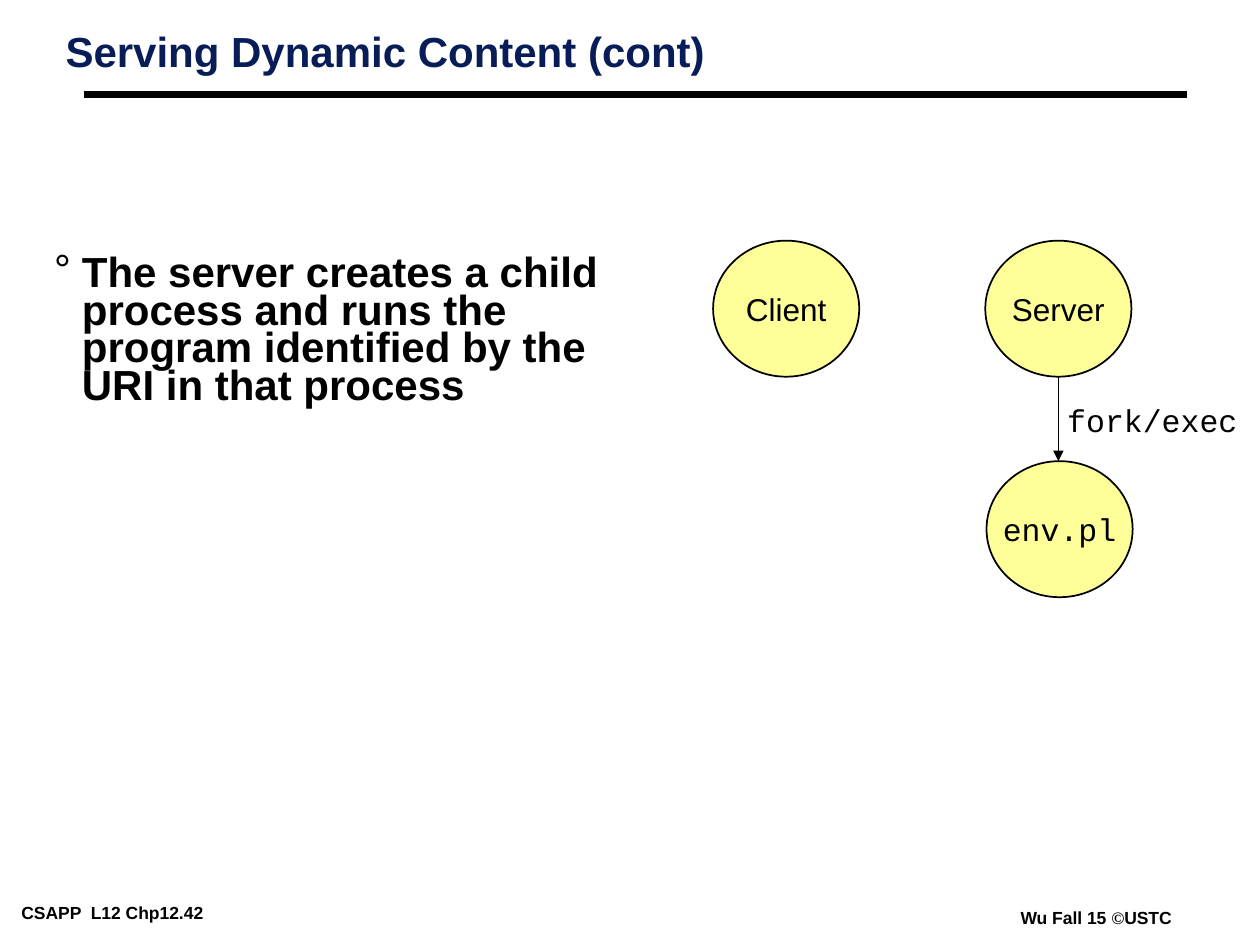
"""Build the slide on serving dynamic content with a child process."""
from lxml.etree import SubElement
from pptx import Presentation
from pptx.dml.color import RGBColor
from pptx.enum.shapes import MSO_CONNECTOR, MSO_SHAPE
from pptx.enum.text import MSO_ANCHOR, MSO_AUTO_SIZE, PP_ALIGN
from pptx.oxml.ns import qn
from pptx.util import Inches, Pt

COLORS = {"ink": "000000", "title": "081D58", "node": "FFFF99"}


class SlideBuilder:
    def __init__(self, page, font="Arial", code_font="Courier New"):
        self.page = page
        self.font = font
        self.code_font = code_font

    def color(self, name):
        return RGBColor.from_string(COLORS[name])

    def style(self, span, size, font=None, bold=False, color="ink"):
        span.font.name = font or self.font
        span.font.size = Pt(size)
        span.font.bold = bold
        span.font.color.rgb = self.color(color)

    def placeholder(self, index, text, place, spacing, color="ink"):
        box = self.page.placeholders[index]
        box.left, box.top, box.width, box.height = map(Inches, place)
        frame = box.text_frame
        frame.text = text
        frame.word_wrap = True
        frame.auto_size = MSO_AUTO_SIZE.NONE
        frame.vertical_anchor = MSO_ANCHOR.TOP
        para = frame.paragraphs[0]
        para.alignment = PP_ALIGN.LEFT
        para.line_spacing = spacing
        para.space_before = Pt(0)
        self.style(para.runs[0], 24, bold=True, color=color)
        return para

    def bullet(self, para, mark, indent):
        properties = para._p.get_or_add_pPr()
        properties.set("marL", str(Inches(indent)))
        properties.set("indent", str(-Inches(indent)))
        bullet_color = SubElement(properties, qn("a:buClr"))
        SubElement(bullet_color, qn("a:srgbClr"), val=COLORS["ink"])
        SubElement(properties, qn("a:buFont"), typeface=self.font)
        SubElement(properties, qn("a:buChar"), char=mark)

    def footer(self, place, parts):
        box = self.page.shapes.add_textbox(*map(Inches, place))
        frame = box.text_frame
        frame.word_wrap = False
        frame.margin_left = frame.margin_right = Inches(0.07)
        frame.margin_top = frame.margin_bottom = Inches(0.03)
        for text, font in parts:
            span = frame.paragraphs[0].add_run()
            span.text = text
            self.style(span, 10, font, bold=True)

    def center_text(self, box, text, font=None):
        frame = box.text_frame
        frame.text = text
        frame.word_wrap = False
        frame.vertical_anchor = MSO_ANCHOR.MIDDLE
        para = frame.paragraphs[0]
        para.alignment = PP_ALIGN.CENTER
        self.style(para.runs[0], 18, font)

    def node(self, left, top, text, font=None):
        oval = self.page.shapes.add_shape(
            MSO_SHAPE.OVAL, Inches(left), Inches(top), Inches(1.16), Inches(1.08))
        oval.shadow.inherit = False
        oval.fill.solid()
        oval.fill.fore_color.rgb = self.color("node")
        oval.line.color.rgb = self.color("ink")
        oval.line.width = Pt(1)
        self.center_text(oval, text, font)

    def label(self, place, text):
        box = self.page.shapes.add_textbox(*map(Inches, place))
        self.center_text(box, text, self.code_font)

    def line(self, start, end, width, arrow=False):
        line = self.page.shapes.add_connector(
            MSO_CONNECTOR.STRAIGHT, *map(Inches, start + end))
        line.line.color.rgb = self.color("ink")
        line.line.width = Pt(width)
        if arrow:
            SubElement(line.line._get_or_add_ln(), qn("a:tailEnd"), type="triangle")
        SubElement(line._element.spPr, qn("a:effectLst"))


def main():
    deck = Presentation()
    deck.slide_width, deck.slide_height = Inches(10), Inches(7.5)
    builder = SlideBuilder(deck.slides.add_slide(deck.slide_layouts[1]))

    builder.footer((0.1, 7.13, 2.1, 0.22), [("CSAPP  L12 Chp12.42", "Arial")])
    builder.footer((8.03, 7.17, 1.34, 0.22), [
        ("Wu Fall 15 ", "Arial"), ("©", "Times New Roman"), ("USTC", "Arial")])
    builder.line((0.67, 0.75), (9.42, 0.75), 4.5)

    builder.placeholder(0, "Serving Dynamic Content (cont)",
                        (0.42, 0.21, 8.5, 0.63), 0.87, "title")
    para = builder.placeholder(
        1, "The server creates a child process and runs the program "
        "identified by the URI in that process", (0.33, 1.99, 4.69, 2.07), 0.75)
    builder.bullet(para, "°", 0.22)

    builder.node(5.66, 1.91, "Client")
    builder.node(7.82, 1.91, "Server")
    builder.node(7.83, 3.66, "env.pl", builder.code_font)
    builder.line((8.4, 2.99), (8.4, 3.66), 1, arrow=True)
    builder.label((8.37, 3.13, 1.55, 0.4), "fork/exec")
    deck.save("out.pptx")


if __name__ == "__main__":
    main()
